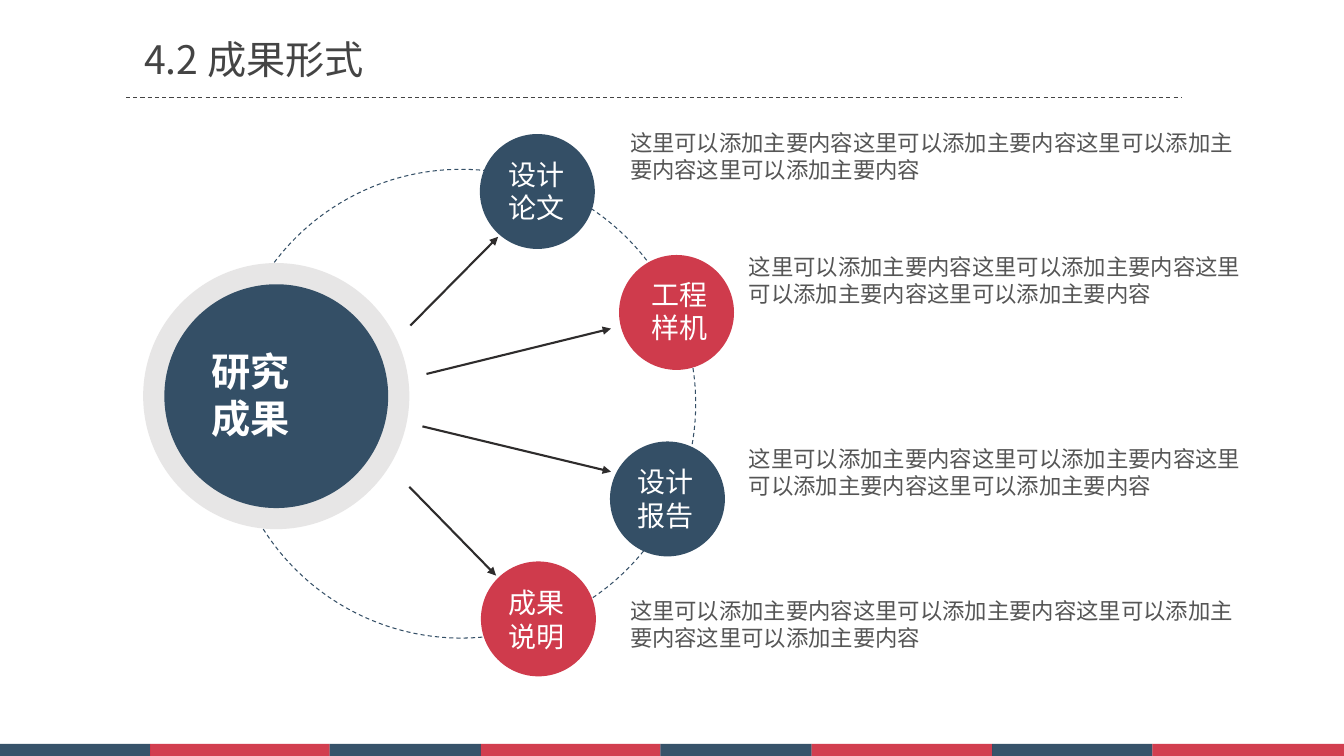
from lxml import etree
from pptx import Presentation
from pptx import util as u
from pptx.dml.color import RGBColor
from pptx.enum import dml, shapes, text
from pptx.oxml.ns import qn

FONT = "Noto Sans CJK SC"
NAVY, RED, WHITE = "344F66", "CF3B4C", "FFFFFF"
BODY = "这里可以添加主要内容" * 4


def paint(color_format, value):
    color_format.rgb = RGBColor.from_string(value)


def add_filled(page, kind, left, top, width, height, color, alpha=None):
    shape = page.shapes.add_shape(
        kind, u.Inches(left), u.Inches(top), u.Inches(width), u.Inches(height))
    shape.shadow.inherit = False
    shape.fill.solid()
    paint(shape.fill.fore_color, color)
    shape.line.fill.background()
    if alpha:
        tint = shape.fill._xPr.find(qn("a:solidFill"))[0]
        etree.SubElement(tint, qn("a:alpha")).set("val", str(alpha * 1000))
    return shape


def add_circle(page, left, top, size, color):
    return add_filled(page, shapes.MSO_SHAPE.OVAL, left, top, size, size, color)


def add_orbit(page):
    orbit = add_circle(page, 2.25, 1.68, 4.65, WHITE)
    orbit.fill.background()
    paint(orbit.line.color, NAVY)
    orbit.line.width = u.Pt(0)
    orbit.line.dash_style = dml.MSO_LINE.DASH


def add_line(page, start, end, color, width):
    points = [u.Inches(value) for value in (*start, *end)]
    line = page.shapes.add_connector(shapes.MSO_CONNECTOR.STRAIGHT, *points)
    paint(line.line.color, color)
    line.line.width = u.Pt(width)
    etree.SubElement(line._element.spPr, qn("a:effectLst"))
    return line


def add_arrow(page, start, end):
    arrow = add_line(page, start, end, "2E2C2C", 1.5)
    outline = arrow.line._get_or_add_ln()
    etree.SubElement(outline, qn("a:tailEnd")).set("type", "triangle")


def write(box, words, size, color, align=text.PP_ALIGN.LEFT, bold=False):
    frame = box.text_frame
    frame.word_wrap = True
    frame.vertical_anchor = text.MSO_ANCHOR.TOP
    para = frame.paragraphs[0]
    para.alignment = align
    para.line_spacing = u.Pt(size * 1.2)
    span = para.add_run()
    span.text = words
    span.font.size = u.Pt(size)
    span.font.bold = bold
    span.font.name = FONT
    paint(span.font.color, color)
    east_asian = etree.SubElement(span.font._element, qn("a:ea"))
    east_asian.set("typeface", FONT)


def add_text(page, left, top, width, height, *style, **options):
    box = page.shapes.add_textbox(
        u.Inches(left), u.Inches(top), u.Inches(width), u.Inches(height))
    write(box, *style, **options)


def set_title(page, words):
    title = page.shapes.title
    title.left, title.top = u.Inches(1.43), u.Inches(0.35)
    title.width, title.height = u.Inches(3.99), u.Inches(0.47)
    frame = title.text_frame
    frame.margin_left = frame.margin_right = 0
    frame.margin_top = frame.margin_bottom = 0
    write(title, words, 28, "444444")


def add_footer_bars(page):
    edges = [0, 1.49, 3.27, 4.77, 6.55, 8.05, 9.84, 11.43, 13.33]
    for index, (left, right) in enumerate(zip(edges, edges[1:])):
        color = ("062845", "C70E23")[index % 2]
        add_filled(page, shapes.MSO_SHAPE.RECTANGLE,
                   left, 7.38, right - left, 0.12, color, alpha=80)


def add_result(page, name, color, circle, label, note, arrow):
    add_arrow(page, *arrow)
    add_circle(page, *circle, 1.14, color)
    add_text(page, *label, 0.89, 0.77, name, 20, WHITE,
             align=text.PP_ALIGN.CENTER)
    add_text(page, *note, 0.64, BODY, 16, "555555")


def main():
    deck = Presentation()
    deck.slide_width, deck.slide_height = u.Inches(13.33), u.Inches(7.5)
    page = deck.slides.add_slide(deck.slide_layouts[5])
    set_title(page, "4.2 成果形式")
    add_footer_bars(page)
    rule = add_line(page, (1.25, 0.97), (11.72, 0.97), "444444", 0.75)
    rule.line.dash_style = dml.MSO_LINE.DASH
    add_orbit(page)

    results = [
        ("设计论文", NAVY, (4.76, 1.33), (4.88, 1.51), (6.15, 1.23, 6.28),
         ((4.07, 3.23), (4.94, 2.35))),
        ("工程样机", RED, (6.14, 2.53), (6.29, 2.7), (7.33, 2.46, 5.1),
         ((4.23, 3.71), (6.06, 3.26))),
        ("设计报告", NAVY, (6.05, 4.38), (6.16, 4.56), (7.33, 4.37, 5.25),
         ((4.19, 4.23), (6.06, 4.68))),
        ("成果说明", RED, (4.77, 5.57), (4.88, 5.76), (6.15, 5.88, 6.28),
         ((4.06, 4.83), (4.92, 5.71))),
    ]
    for result in results:
        add_result(page, *result)

    add_circle(page, 1.42, 2.61, 2.64, "E7E6E6")
    add_circle(page, 1.63, 2.82, 2.22, NAVY)
    add_text(page, 2, 3.4, 1.31, 1.04, "研究成果", 28, WHITE, bold=True)
    deck.save("out.pptx")


if __name__ == "__main__":
    main()
